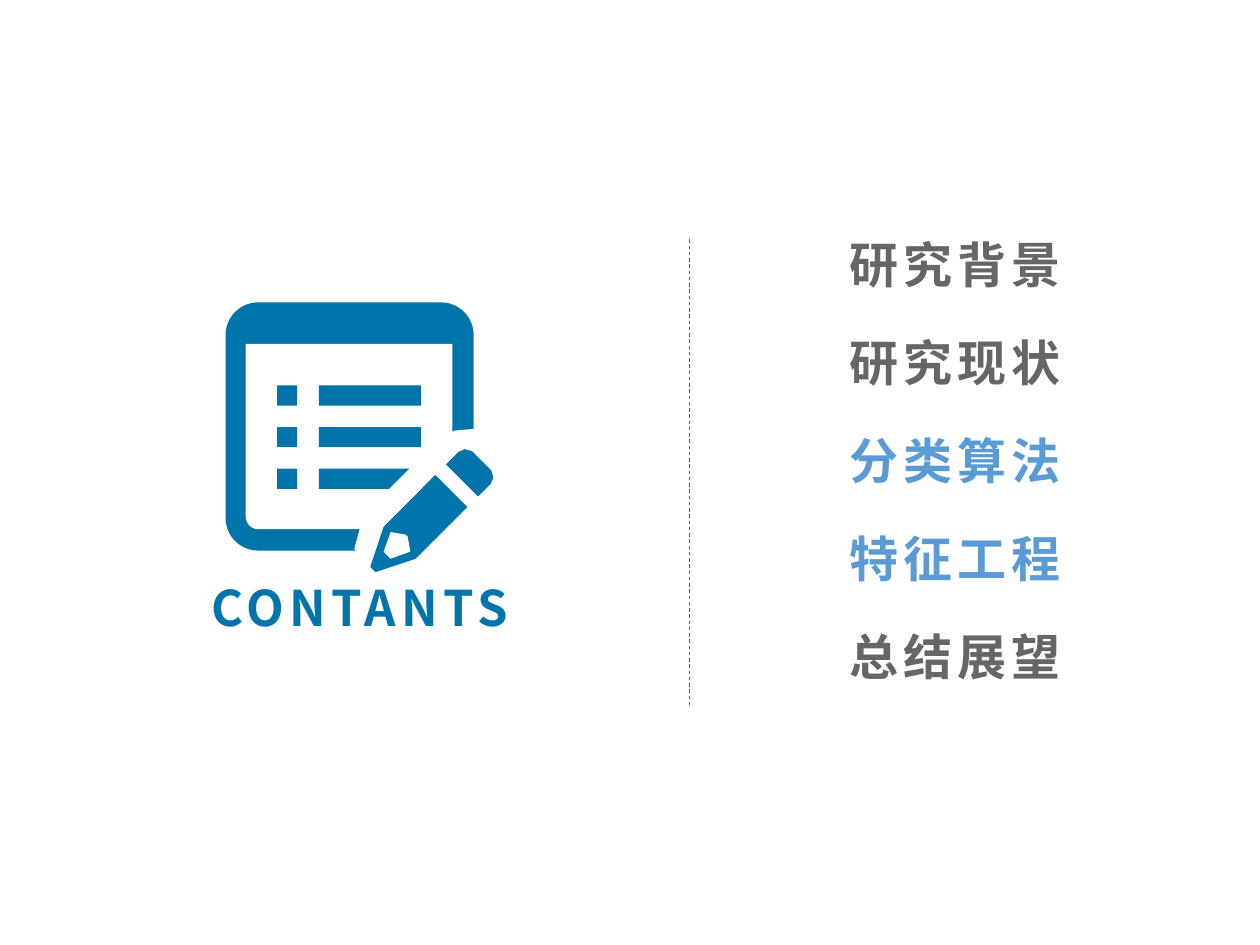
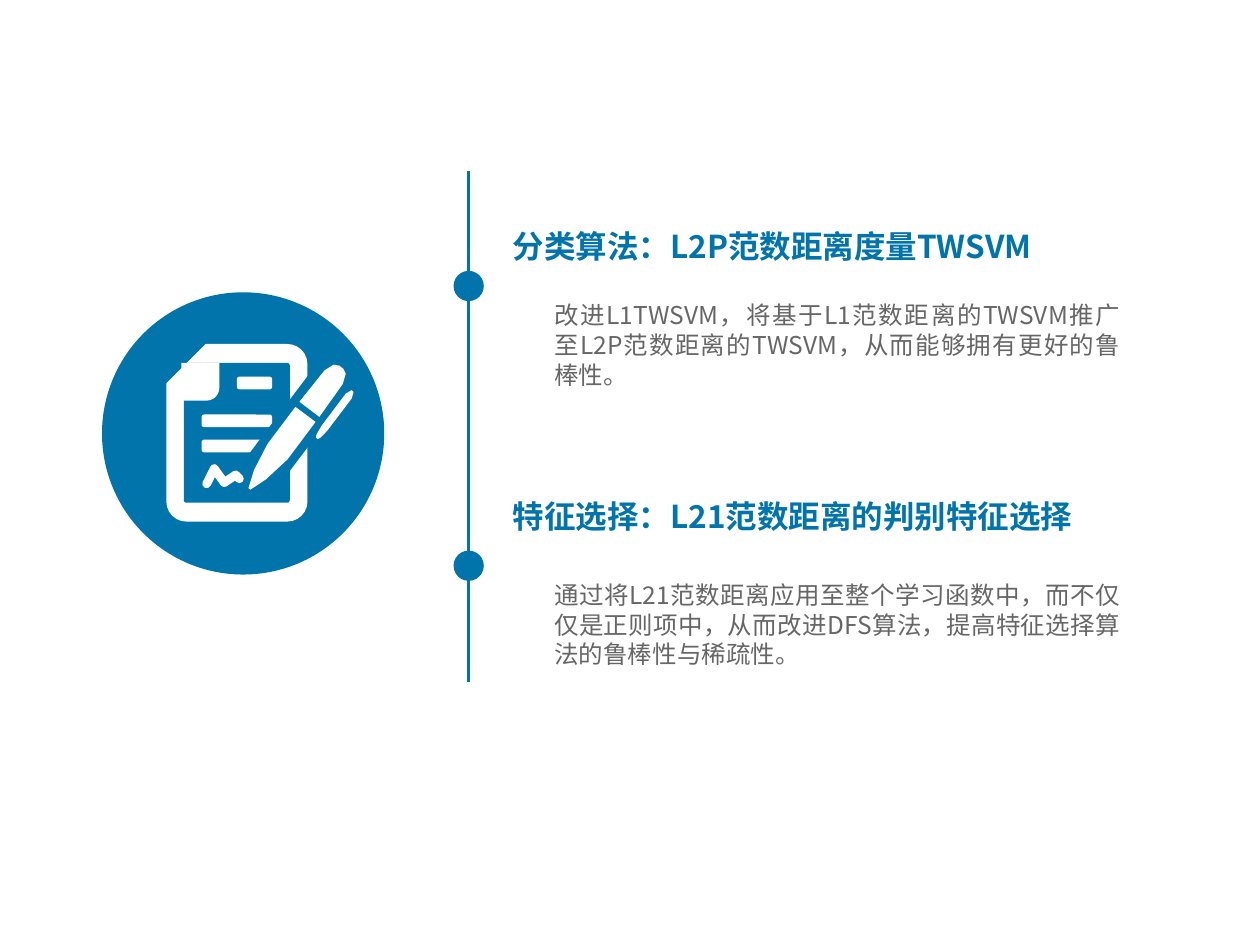
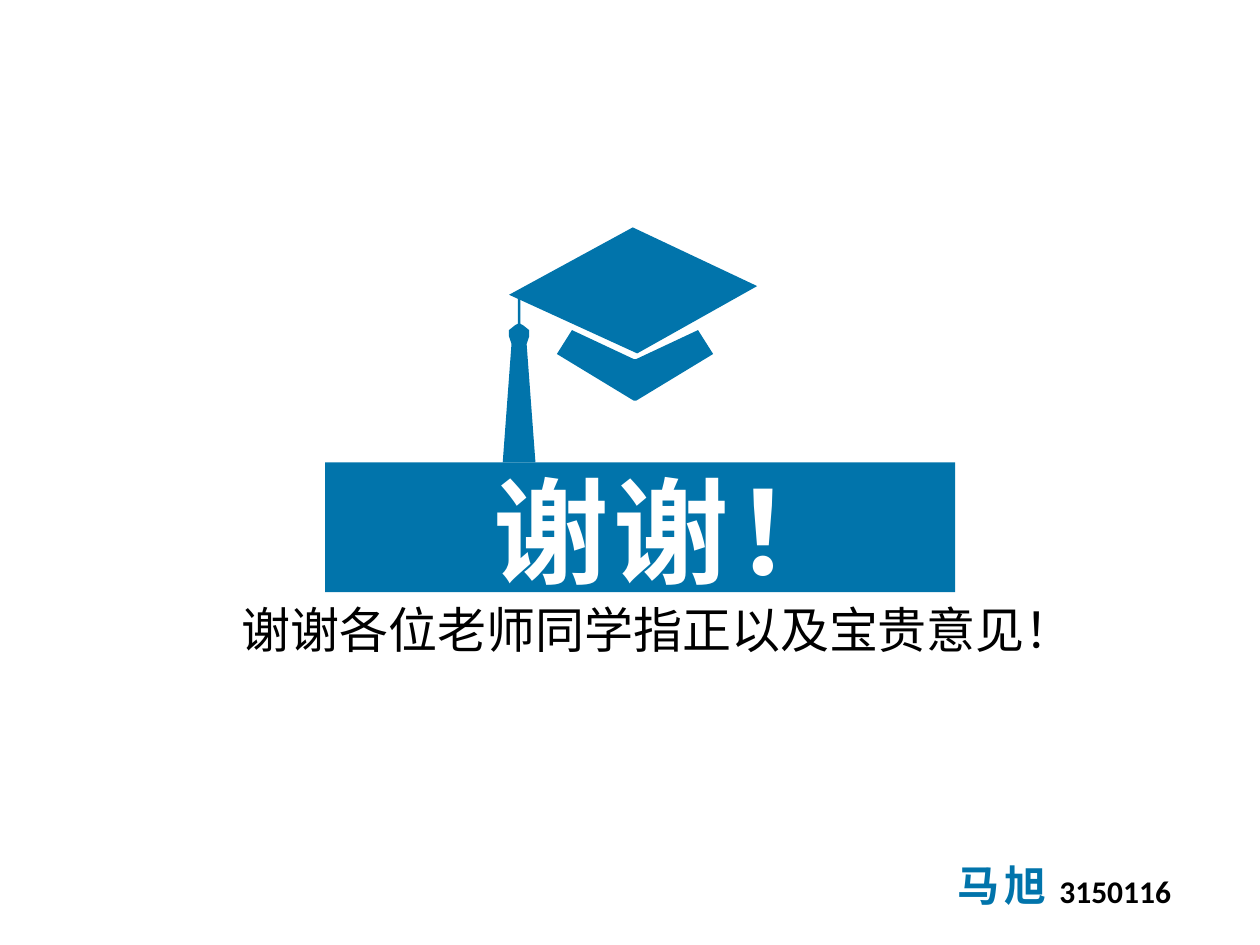
import itertools
import math

import lxml.etree
import pptx
import pptx.dml.color
import pptx.enum.dml
import pptx.enum.shapes
import pptx.enum.text
import pptx.oxml.ns
import pptx.util

RGBColor = pptx.dml.color.RGBColor
BLUE = RGBColor(0x01, 0x74, 0xAB)
LIGHT_BLUE = RGBColor(0x5B, 0x9B, 0xD5)
GRAY = RGBColor(0x66, 0x66, 0x66)
WHITE = RGBColor(0xFF, 0xFF, 0xFF)
BLACK = RGBColor(0, 0, 0)
CJK = "Noto Sans CJK SC"
PX = 9144  # 100 px to the inch
ALIGN = pptx.enum.text.PP_ALIGN
SHAPE = pptx.enum.shapes.MSO_SHAPE
DASH = pptx.enum.dml.MSO_LINE
qn = pptx.oxml.ns.qn


def write(sp, box, lines, size, bold=False, tracking=0, font=CJK,
          align=ALIGN.LEFT, gap=0, leading=1.2):
    """Place a text shape and fill it with (text, colour) paragraphs."""
    sp.left, sp.top, sp.width, sp.height = [v * PX for v in box]
    tf = sp.text_frame
    tf.auto_size = pptx.enum.text.MSO_AUTO_SIZE.NONE
    tf.word_wrap = True
    tf.vertical_anchor = pptx.enum.text.MSO_ANCHOR.TOP
    tf.margin_left = tf.margin_right = 10 * PX
    tf.margin_top = 5 * PX
    tf.margin_bottom = 0
    for i, (text, color) in enumerate(lines):
        p = tf.add_paragraph() if i else tf.paragraphs[0]
        p.alignment = align
        p.line_spacing = pptx.util.Pt(round(size * leading))
        p.space_before = pptx.util.Pt(0)
        p.space_after = pptx.util.Pt(gap)
        pPr = p._p.get_or_add_pPr()
        pPr.set("marL", "0")
        pPr.set("indent", "0")
        lxml.etree.SubElement(pPr, qn("a:buNone"))
        r = p.add_run()
        r.text = text
        r.font.size = pptx.util.Pt(size)
        r.font.bold = bold
        r.font.color.rgb = color
        r.font.name = font
        rPr = r._r.get_or_add_rPr()
        rPr.set("spc", str(tracking * 100))
        lxml.etree.SubElement(rPr, qn("a:ea")).set("typeface", CJK)
    return tf


def draw(s, color, kind=None, box=None, radius=None, rotation=0,
         tip=None, angle=0, profile=None):
    """Draw a preset in a box, or a profile mirrored about an axis.

    The axis leaves tip at angle degrees (clockwise from right). The profile
    lists (distance along the axis, half width) pairs.
    """
    if profile:
        cos, sin = math.cos(math.radians(angle)), math.sin(math.radians(angle))
        sides = profile + [(along, -half) for along, half in reversed(profile)]
        points = [(10 * (tip[0] + along * cos - half * sin),
                   10 * (tip[1] + along * sin + half * cos)) for along, half in sides]
        fb = s.shapes.build_freeform(*points[0], scale=PX / 10)
        fb.add_line_segments(points[1:])
        sp = fb.convert_to_shape()
    else:
        sp = s.shapes.add_shape(kind, *[v * PX for v in box])
        sp.rotation = rotation
        if radius:
            sp.adjustments[0] = radius / min(box[2:])
    sp.shadow.inherit = False
    sp.fill.solid()
    sp.fill.fore_color.rgb = color
    sp.line.fill.background()


prs = pptx.Presentation()
prs.slide_width, prs.slide_height = 1000 * PX, 750 * PX
contents, methods, thanks = [
    prs.slides.add_slide(prs.slide_layouts[i]) for i in (1, 4, 0)]

# Slide 1: contents
s = contents
write(s.shapes.title, (140, 453, 291, 57), [("CONTANTS", BLUE)], 28,
      bold=True, tracking=3, align=ALIGN.CENTER)
write(s.placeholders[1], (664, 181, 196, 368),
      [("研究背景", GRAY), ("研究现状", GRAY), ("分类算法", LIGHT_BLUE),
       ("特征工程", LIGHT_BLUE), ("总结展望", GRAY)],
      28, bold=True, tracking=3, gap=22)

# Notepad: a frame, its inside, and three bulleted lines
draw(s, BLUE, SHAPE.ROUNDED_RECTANGLE, (179, 240, 197, 197), radius=26)
draw(s, WHITE, SHAPE.ROUND_1_RECTANGLE, (195, 273, 164, 147), radius=10, rotation=180)
for row in range(3):
    for x, width in ((220, 16), (253, 81)):
        draw(s, BLUE, SHAPE.RECTANGLE, (x, 306 + 33 * row, width, 16))

# Pencil: a white margin clears the notepad around it
margin = [(1, 22), (15, 30), (25, 36), (112, 36), (124, 32), (136, 22)]
barrel = [(0, 3), (26, 16), (30, 18), (88, 18)]
bare_wood = [(16, 4), (31, 11), (38, 1)]
eraser = [(100, 18), (114, 18), (119, 16), (122, 11)]
for color, part in ((WHITE, margin), (BLUE, barrel), (WHITE, bare_wood), (BLUE, eraser)):
    draw(s, color, tip=(296, 452), angle=-45, profile=part)

# Slide 2: methods
s = methods
title = s.shapes.title._element
title.getparent().remove(title)
for i, (dot_y, head_y, body_y, heading, body) in enumerate([
        (215, 175, 233, "分类算法：L2P范数距离度量TWSVM",
         "改进L1TWSVM，将基于L1范数距离的TWSVM推广至L2P范数距离的TWSVM，"
         "从而能够拥有更好的鲁棒性。"),
        (437, 389, 455, "特征选择：L21范数距离的判别特征选择",
         "通过将L21范数距离应用至整个学习函数中，而不仅仅是正则项中，"
         "从而改进DFS算法，提高特征选择算法的鲁棒性与稀疏性。")]):
    draw(s, BLUE, SHAPE.OVAL, (360, dot_y, 24, 24))
    write(s.placeholders[1 + 2 * i], (397, head_y, 469, 40), [(heading, BLUE)], 18,
          bold=True)
    write(s.placeholders[2 + 2 * i], (430, body_y, 469, 81), [(body, GRAY)], 14,
          align=ALIGN.JUSTIFY)

# Document on a disc: sheet, inside, cut corner, fold, text lines
draw(s, BLUE, SHAPE.OVAL, (81, 232, 224, 224))
draw(s, WHITE, SHAPE.ROUNDED_RECTANGLE, (132, 273, 112, 141), radius=16)
draw(s, BLUE, SHAPE.ROUNDED_RECTANGLE, (146, 288, 84, 111), radius=2)
draw(s, BLUE, SHAPE.RIGHT_TRIANGLE, (131, 272, 33, 33), rotation=90)
draw(s, WHITE, SHAPE.ROUND_1_RECTANGLE, (144, 288, 30, 30), radius=10, rotation=90)
for x, y, width in ((188, 299, 28), (160, 329, 56), (160, 349, 56)):
    draw(s, WHITE, SHAPE.ROUNDED_RECTANGLE, (x, y, width, 10), radius=2)

# Pen: a blue margin clears the sheet; the clip lies beside the cap
margin = [(20, 17), (110, 17)]
barrel = [(0, 1), (14, 6), (37, 10), (74, 10)]
cap = [(79, 10), (111, 9), (119, 6), (121, 2)]
clip = [(64, 1), (66, 2), (74, 3), (106, 3), (111, 1)]
pen_tip, clip_tip = (198, 388), (213, 399)
for color, tip, part in ((BLUE, pen_tip, margin), (WHITE, pen_tip, barrel),
                         (WHITE, pen_tip, cap), (WHITE, clip_tip, clip)):
    draw(s, color, tip=tip, angle=-53, profile=part)

# Slide 3: thanks
s = thanks
banner = s.shapes.title
banner.fill.solid()
banner.fill.fore_color.rgb = BLUE
tf = write(banner, (258, 367, 500, 103), [("谢谢！", WHITE)], 66, bold=True,
           tracking=3, align=ALIGN.CENTER, leading=1.25)
tf.vertical_anchor = pptx.enum.text.MSO_ANCHOR.MIDDLE
tf.margin_top = 0
tf.margin_left = 60 * PX

tf = write(s.placeholders[1], (182, 470, 688, 57),
           [("谢谢各位老师同学指正以及宝贵意见！", BLACK)], 28, font="Calibri")
tf.word_wrap = False
write(s.shapes.add_textbox(0, 0, 0, 0), (704, 677, 182, 50), [("马旭", BLUE)], 24,
      bold=True, tracking=3, align=ALIGN.CENTER)
write(s.shapes.add_textbox(0, 0, 0, 0), (831, 687, 110, 40), [("3150116", BLACK)], 18,
      bold=True, font="Calibri")

# Graduation cap
board = [(0, 0), (100, 50), (197, 0)]
headband = [(0, 1), (37, 62), (56, 50), (33, 1)]
tassel = [(0, 13), (94, 6), (100, 8), (105, 8), (109, 3), (110, 1), (132, 1)]
for tip, angle, part in (((404, 234), -2, board), ((504, 318), -90, headband),
                         ((412, 367), -90, tassel)):
    draw(s, BLUE, tip=tip, angle=angle, profile=part)

# Strokes: the two vertical rules and the zigzag signature on the document
signature = [(164, 384), (170, 372), (178, 383), (187, 377), (190, 380)]
strokes = [(contents, (547, 190), (547, 560), BLUE, 0.5, DASH.DASH, "flat"),
           (methods, (372, 136), (372, 541), BLUE, 1.5, DASH.SOLID, "flat")]
for start, end in itertools.pairwise(signature):
    strokes.append((methods, start, end, WHITE, 5, DASH.SOLID, "rnd"))
for s, start, end, color, width, dash, cap_style in strokes:
    stroke = s.shapes.add_connector(pptx.enum.shapes.MSO_CONNECTOR.STRAIGHT,
                                    *[v * PX for v in start + end])
    stroke.line.color.rgb = color
    stroke.line.width = pptx.util.Pt(width)
    stroke.line.dash_style = dash
    stroke.line._get_or_add_ln().set("cap", cap_style)
    lxml.etree.SubElement(stroke._element.spPr, qn("a:effectLst"))

prs.save("out.pptx")
